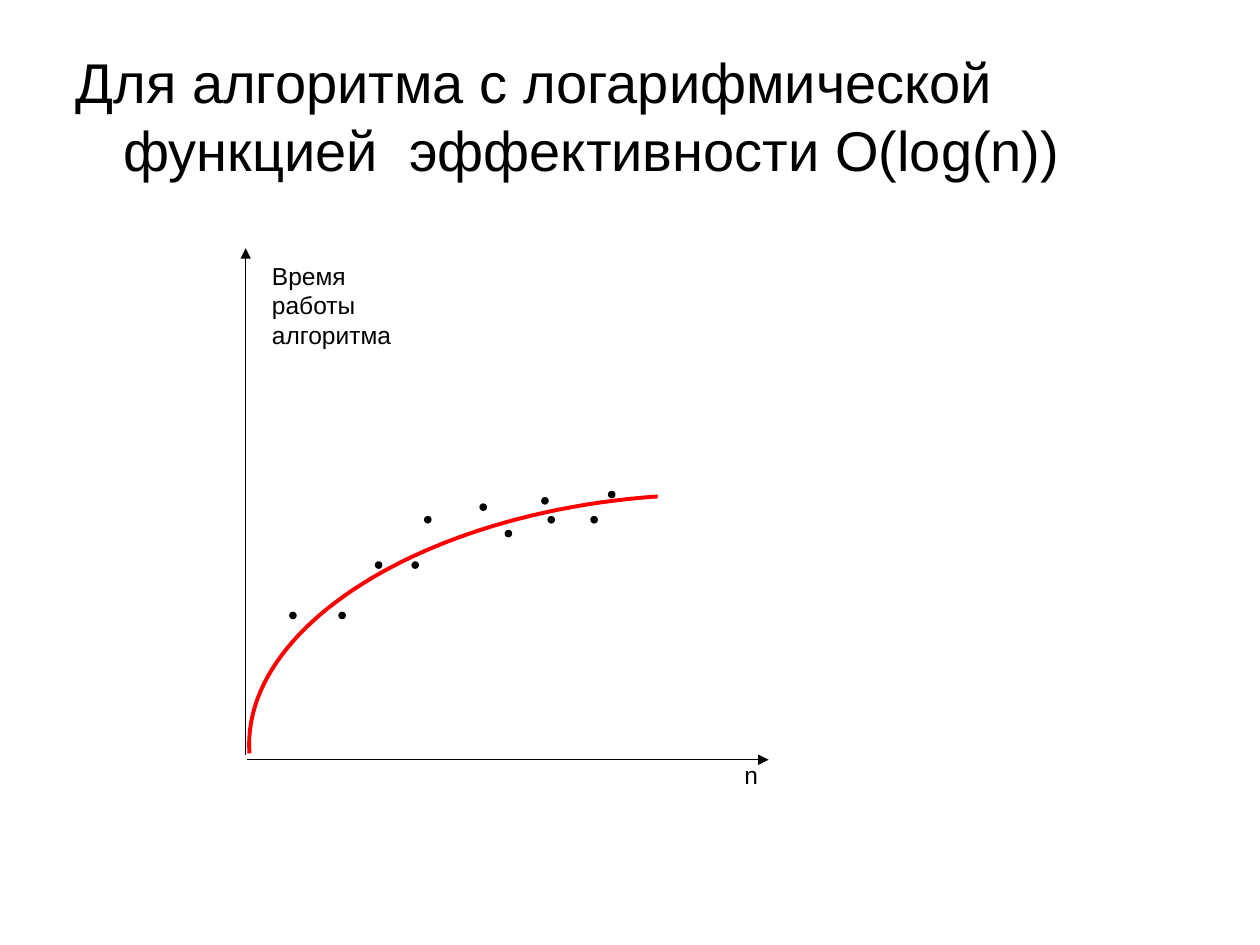
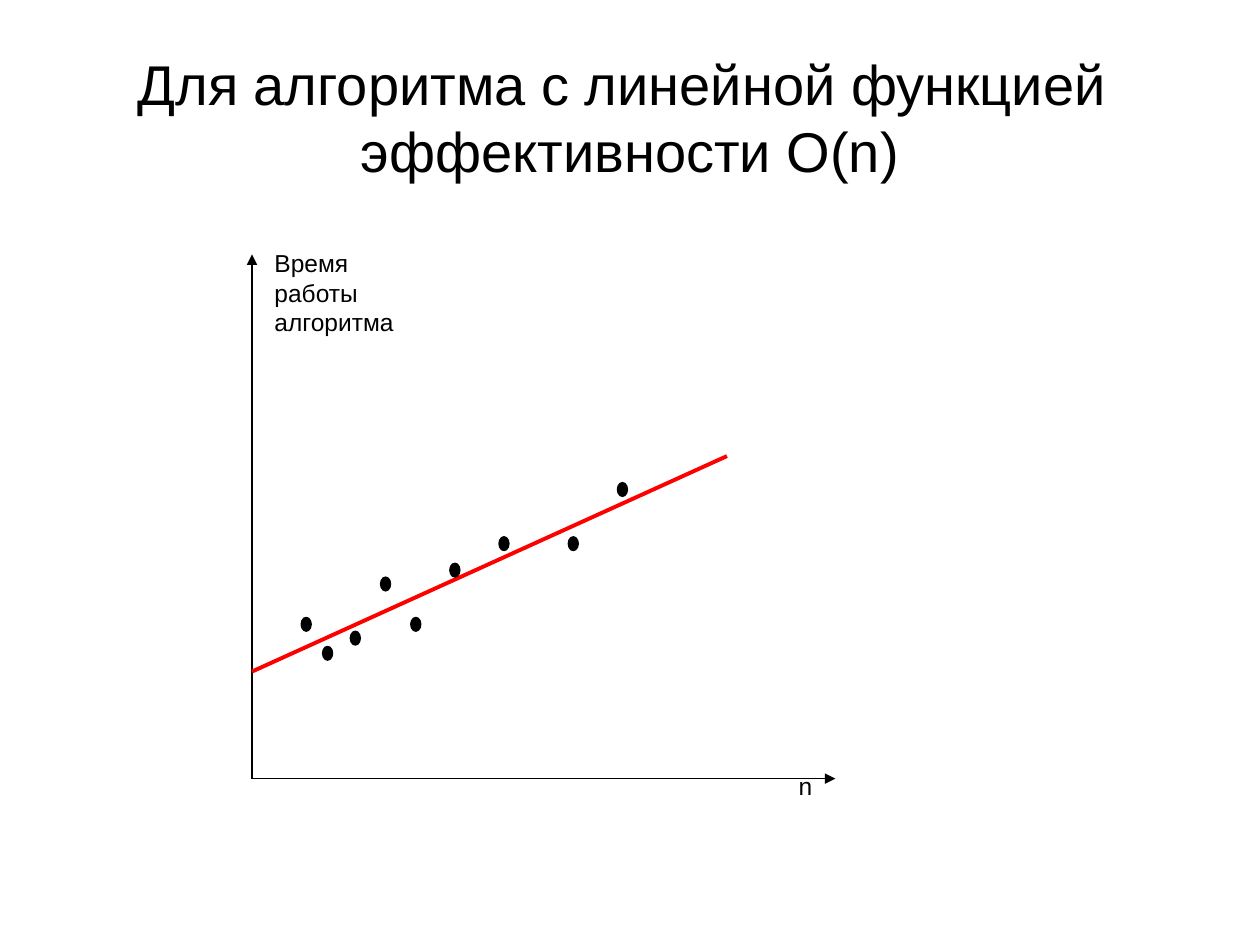
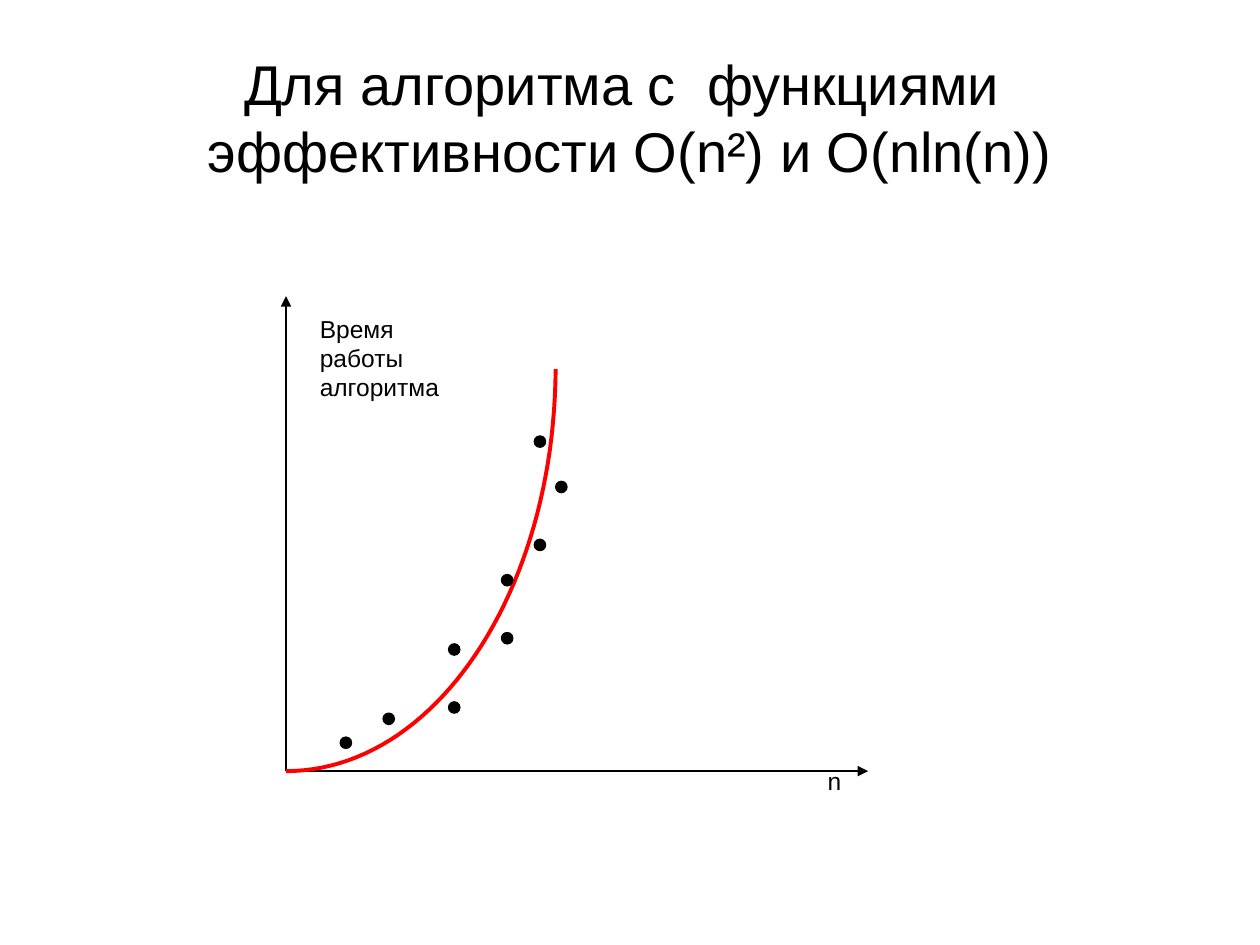
from dataclasses import dataclass
from typing import NamedTuple, Optional

from lxml import etree
from pptx import Presentation
from pptx import util as u
from pptx.dml.color import RGBColor
from pptx.enum import shapes, text
from pptx.oxml import ns

# Shared style
FONT = "Arial"
BLACK, WHITE, RED = "000000", "FFFFFF", "FF0000"
TITLE_SIZE, LABEL_SIZE = 32, 14
AXIS_WIDTH, TREND_WIDTH = 0.75, 2.25
CURVE_STEPS = 48
TIME_LABEL, SIZE_LABEL = "Время работы алгоритма", "n"
TITLE_ONLY_LAYOUT, CONTENT_LAYOUT = 5, 1


class Point(NamedTuple):
    x: float
    y: float


class Box(NamedTuple):
    left: float
    top: float
    width: float
    height: float

    def lengths(self) -> list:
        return [u.Inches(value) for value in self]


class Segment(NamedTuple):
    start: Point
    end: Point


@dataclass
class Plot:
    """A growth chart: heading, axes, labels, trend and measurements."""
    heading: str
    x_axis: Segment
    y_axis: Segment
    size_label: Box
    time_label: Box
    trend: list[Point]  # two points for a line, four for a cubic curve
    dot_size: tuple[float, float]
    dots: list[tuple[float, float]]  # left and top of each dot
    heading_box: Box = Box(0.5, 0.3, 9, 1.25)
    hanging: Optional[float] = None  # hanging indent of a left-aligned heading


PLOTS = [
    Plot(
        heading="Для алгоритма с логарифмической функцией  эффективности О(log(n))",
        heading_box=Box(0.5, 0.33, 9, 6.37),
        hanging=0.38,
        x_axis=Segment(Point(1.96, 6.03), Point(6.1, 6.03)),
        y_axis=Segment(Point(1.95, 5.99), Point(1.95, 1.97)),
        size_label=Box(5.81, 5.98, 0.68, 0.41),
        time_label=Box(2.06, 2.02, 1.41, 0.91),
        trend=[Point(5.22, 3.94), Point(3.36, 4.07), Point(1.91, 4.98), Point(1.98, 5.98)],
        dot_size=(0.05, 0.05),
        dots=[(2.3, 4.86), (2.98, 4.46), (2.69, 4.86), (3.27, 4.46), (3.37, 4.1), (3.81, 4),
              (4.01, 4.21), (4.35, 4.1), (4.69, 4.1), (4.3, 3.95), (4.83, 3.9)],
    ),
    Plot(
        heading="Для алгоритма с линейной функцией  эффективности О(n)",
        x_axis=Segment(Point(2, 6.18), Point(6.63, 6.18)),
        y_axis=Segment(Point(2, 6.18), Point(2, 2.02)),
        size_label=Box(6.24, 6.07, 0.71, 0.43),
        time_label=Box(2.08, 1.92, 1.49, 0.96),
        trend=[Point(2, 5.33), Point(5.77, 3.62)],
        dot_size=(0.08, 0.11),
        dots=[(2.39, 4.9), (2.56, 5.13), (3.57, 4.47), (3.96, 4.26), (4.51, 4.26),
              (4.9, 3.83), (2.78, 5.01), (3.02, 4.58), (3.26, 4.9)],
    ),
    Plot(
        heading="Для алгоритма с  функциями  эффективности О(n²) и О(nln(n))",
        x_axis=Segment(Point(2.27, 6.12), Point(6.89, 6.12)),
        y_axis=Segment(Point(2.27, 6.12), Point(2.27, 2.35)),
        size_label=Box(6.47, 6.03, 0.94, 0.46),
        time_label=Box(2.44, 2.44, 1.37, 0.92),
        trend=[Point(2.27, 6.12), Point(3.45, 6.12), Point(4.4, 4.7), Point(4.41, 2.93)],
        dot_size=(0.09, 0.09),
        dots=[(2.7, 5.85), (3.04, 5.66), (3.56, 5.57), (3.56, 5.11), (3.98, 5.02),
              (3.98, 4.56), (4.24, 3.46), (4.41, 3.82), (4.24, 4.28)],
    ),
]


# Formatting helpers
def color(value: str) -> RGBColor:
    return RGBColor.from_string(value)


def set_fill(shape, value: str) -> None:
    shape.fill.solid()
    shape.fill.fore_color.rgb = color(value)


def set_line(shape, value: str, width: float) -> None:
    shape.line.color.rgb = color(value)
    shape.line.width = u.Pt(width)


def write_text(shape, content: str, *, size: int, align=text.PP_ALIGN.LEFT,
               anchor=text.MSO_ANCHOR.TOP):
    frame = shape.text_frame
    frame.word_wrap = True
    frame.auto_size = text.MSO_AUTO_SIZE.NONE
    frame.vertical_anchor = anchor
    paragraph = frame.paragraphs[0]
    paragraph.alignment = align
    run = paragraph.add_run()
    run.text = content
    run.font.name = FONT
    run.font.size = u.Pt(size)
    run.font.color.rgb = color(BLACK)
    return paragraph


# Plot parts
def add_heading(slide, plot: Plot) -> None:
    if plot.hanging is None:
        shape = slide.shapes.title
        write_text(shape, plot.heading, size=TITLE_SIZE, align=text.PP_ALIGN.CENTER,
                   anchor=text.MSO_ANCHOR.MIDDLE)
    else:
        title = slide.shapes.title.element
        title.getparent().remove(title)
        shape = slide.placeholders[1]
        paragraph = write_text(shape, plot.heading, size=TITLE_SIZE)
        paragraph.space_before = u.Pt(8)
        properties = paragraph._p.get_or_add_pPr()
        properties.set("marL", str(u.Inches(plot.hanging)))
        properties.set("indent", str(-u.Inches(plot.hanging)))
        etree.SubElement(properties, ns.qn("a:buNone"))
    shape.left, shape.top, shape.width, shape.height = plot.heading_box.lengths()


def add_label(slide, content: str, box: Box) -> None:
    shape = slide.shapes.add_shape(shapes.MSO_SHAPE.RECTANGLE, *box.lengths())
    shape.shadow.inherit = False
    set_fill(shape, WHITE)
    shape.line.fill.background()
    write_text(shape, content, size=LABEL_SIZE)


def add_line(slide, segment: Segment, line_color: str, width: float, arrow: bool = False) -> None:
    ends = [u.Inches(value) for point in segment for value in point]
    connector = slide.shapes.add_connector(shapes.MSO_CONNECTOR.STRAIGHT, *ends)
    set_line(connector, line_color, width)
    if arrow:
        line = connector.line._get_or_add_ln()
        etree.SubElement(line, ns.qn("a:tailEnd"), type="triangle")
    etree.SubElement(connector.element.spPr, ns.qn("a:effectLst"))


def cubic_point(controls: list[Point], t: float) -> tuple:
    weights = ((1 - t) ** 3, 3 * t * (1 - t) ** 2, 3 * t ** 2 * (1 - t), t ** 3)
    return tuple(u.Inches(sum(weight * value for weight, value in zip(weights, axis)))
                 for axis in zip(*controls))


def add_curve(slide, controls: list[Point]) -> None:
    points = [cubic_point(controls, step / CURVE_STEPS) for step in range(CURVE_STEPS + 1)]
    builder = slide.shapes.build_freeform(*points[0])
    builder.add_line_segments(points[1:], close=False)
    curve = builder.convert_to_shape()
    curve.shadow.inherit = False
    curve.fill.background()
    set_line(curve, RED, TREND_WIDTH)


def add_dot(slide, box: Box) -> None:
    dot = slide.shapes.add_shape(shapes.MSO_SHAPE.OVAL, *box.lengths())
    dot.shadow.inherit = False
    set_fill(dot, BLACK)
    set_line(dot, BLACK, AXIS_WIDTH)


def add_plot_slide(presentation, plot: Plot) -> None:
    layout = TITLE_ONLY_LAYOUT if plot.hanging is None else CONTENT_LAYOUT
    slide = presentation.slides.add_slide(presentation.slide_layouts[layout])
    add_heading(slide, plot)
    add_label(slide, SIZE_LABEL, plot.size_label)
    for axis in (plot.x_axis, plot.y_axis):
        add_line(slide, axis, BLACK, AXIS_WIDTH, arrow=True)
    if len(plot.trend) == 2:
        add_line(slide, Segment(*plot.trend), RED, TREND_WIDTH)
    else:
        add_curve(slide, plot.trend)
    for left, top in plot.dots:
        add_dot(slide, Box(left, top, *plot.dot_size))
    add_label(slide, TIME_LABEL, plot.time_label)


def main() -> None:
    presentation = Presentation()
    presentation.slide_width = u.Inches(10)
    presentation.slide_height = u.Inches(7.5)
    for plot in PLOTS:
        add_plot_slide(presentation, plot)
    presentation.save("out.pptx")


if __name__ == "__main__":
    main()
